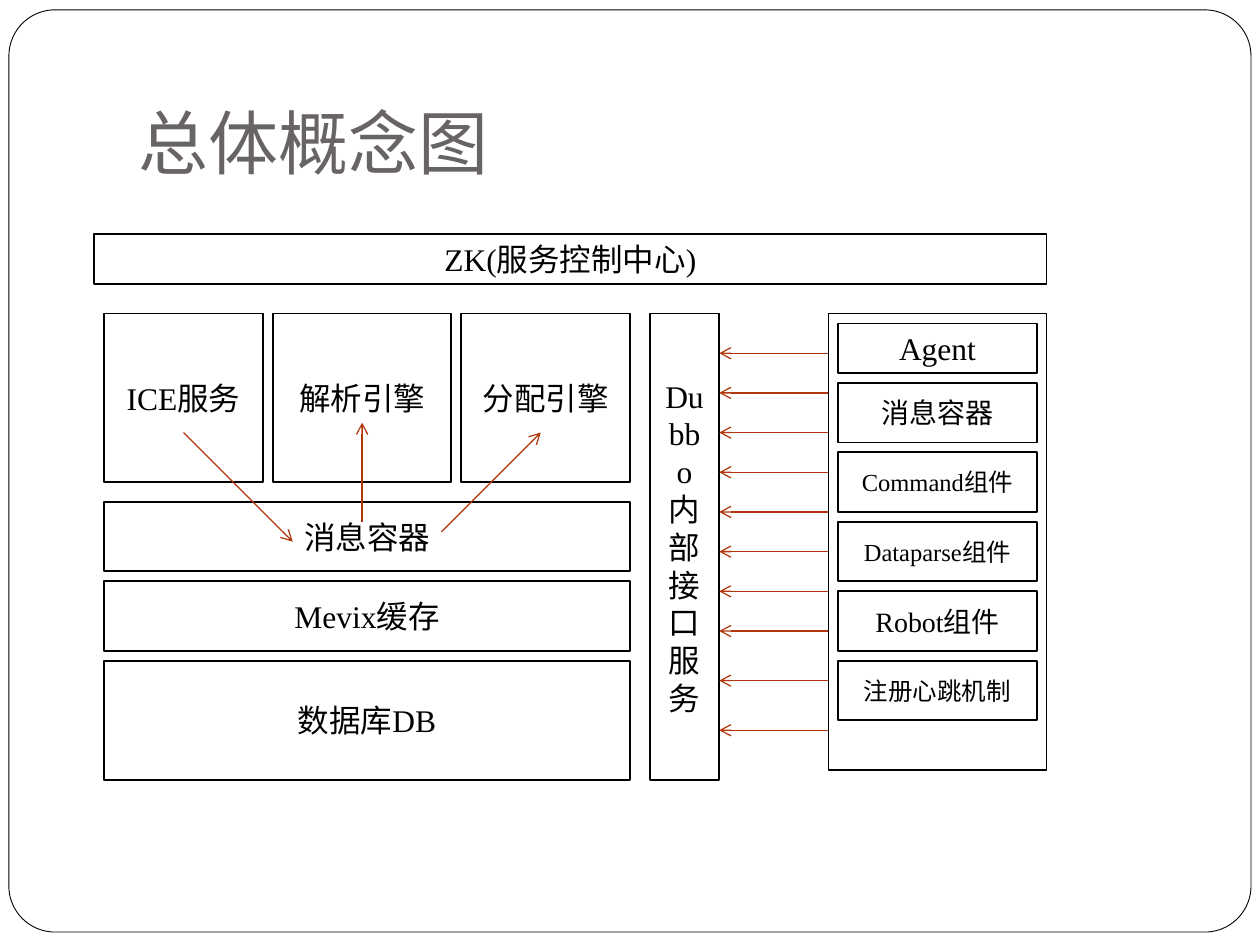
"""Build the overall concept diagram slide."""
from lxml import etree
from pptx import Presentation
from pptx import util as u
from pptx.dml.color import RGBColor
from pptx.enum import shapes, text
from pptx.oxml.ns import qn

COLORS = {"paper": "FFFFFF", "ink": "000000", "title": "696464", "arrow": "B1360B"}
TITLE = "总体概念图"
SERVICES = [
    ("ZK(服务控制中心)", 1.9, 4.72, 19.2, 1.0),
    ("ICE服务", 2.1, 6.32, 3.2, 3.4),
    ("解析引擎", 5.5, 6.32, 3.6, 3.4),
    ("分配引擎", 9.3, 6.32, 3.4, 3.4),
    ("消息容器", 2.1, 10.12, 10.6, 1.4),
    ("Mevix缓存", 2.1, 11.72, 10.6, 1.4),
    ("数据库DB", 2.1, 13.32, 10.6, 2.4),
    ("Dubbo内部接口服务", 13.1, 6.32, 1.4, 9.4),
    ("", 16.7, 6.32, 4.4, 9.2),
]
COMPONENTS = [
    ("Agent", 18, 1.0),
    ("消息容器", 16, 1.2),
    ("Command组件", 14, 1.2),
    ("Dataparse组件", 14, 1.2),
    ("Robot组件", 16, 1.2),
    ("注册心跳机制", 14, 1.2),
]
COMPONENT_LEFT, COMPONENT_TOP, COMPONENT_WIDTH, COMPONENT_GAP = 16.9, 6.52, 4.0, 0.2
CALL_FROM, CALL_TO = 16.7, 14.5
CALL_LEVELS = [7.12 + 0.8 * i for i in range(8)] + [13.72, 14.72]
MESSAGES = [
    (7.3, 10.52, 7.3, 8.52),
    (8.9, 10.72, 10.9, 8.72),
    (3.7, 8.72, 5.9, 10.92),
]


def color(name):
    return RGBColor.from_string(COLORS[name])


def write(frame, words, size, font, ink, align):
    paragraph = frame.paragraphs[0]
    paragraph.alignment = align
    run = paragraph.add_run()
    run.text = words
    run.font.size = u.Pt(size)
    run.font.name = font
    run.font.color.rgb = color(ink)


def add_outline(slide, kind, left, top, width, height, weight):
    outline = slide.shapes.add_shape(kind, *map(u.Cm, (left, top, width, height)))
    outline.shadow.inherit = False
    outline.fill.background()
    outline.line.color.rgb = color("ink")
    outline.line.width = u.Pt(weight)
    return outline


def add_box(slide, words, left, top, width, height, size=18):
    box = add_outline(slide, shapes.MSO_SHAPE.RECTANGLE, left, top, width, height, 1)
    if words:
        box.text_frame.word_wrap = True
        box.text_frame.vertical_anchor = text.MSO_ANCHOR.MIDDLE
        write(box.text_frame, words, size, "Times New Roman", "ink", text.PP_ALIGN.CENTER)


def add_arrow(slide, *ends):
    arrow = slide.shapes.add_connector(shapes.MSO_CONNECTOR.STRAIGHT, *map(u.Cm, ends))
    arrow.line.color.rgb = color("arrow")
    arrow.line.width = u.Pt(0.75)
    etree.SubElement(arrow.line._get_or_add_ln(), qn("a:tailEnd"), type="arrow")
    etree.SubElement(arrow._element.spPr, qn("a:effectLst"))


deck = Presentation()
deck.slide_width, deck.slide_height = u.Cm(25.4), u.Cm(19.05)
slide = deck.slides.add_slide(deck.slide_layouts[5])
slide.background.fill.solid()
slide.background.fill.fore_color.rgb = color("paper")

frame = add_outline(slide, shapes.MSO_SHAPE.ROUNDED_RECTANGLE, 0.18, 0.2, 25.04, 18.59, 0.5)
frame.adjustments[0] = 0.05

title = slide.shapes.title
title.left, title.top, title.width, title.height = map(u.Cm, (2.54, 0.76, 21.59, 3.18))
heading = title.text_frame
heading.auto_size = text.MSO_AUTO_SIZE.NONE
heading.vertical_anchor = text.MSO_ANCHOR.BOTTOM
heading.margin_bottom = u.Cm(0.25)
write(heading, TITLE, 40, "Cabin", "title", text.PP_ALIGN.LEFT)

for service in SERVICES:
    add_box(slide, *service)

top = COMPONENT_TOP
for words, size, height in COMPONENTS:
    add_box(slide, words, COMPONENT_LEFT, top, COMPONENT_WIDTH, height, size)
    top += height + COMPONENT_GAP

for level in CALL_LEVELS:
    add_arrow(slide, CALL_FROM, level, CALL_TO, level)
for message in MESSAGES:
    add_arrow(slide, *message)

deck.save("out.pptx")
